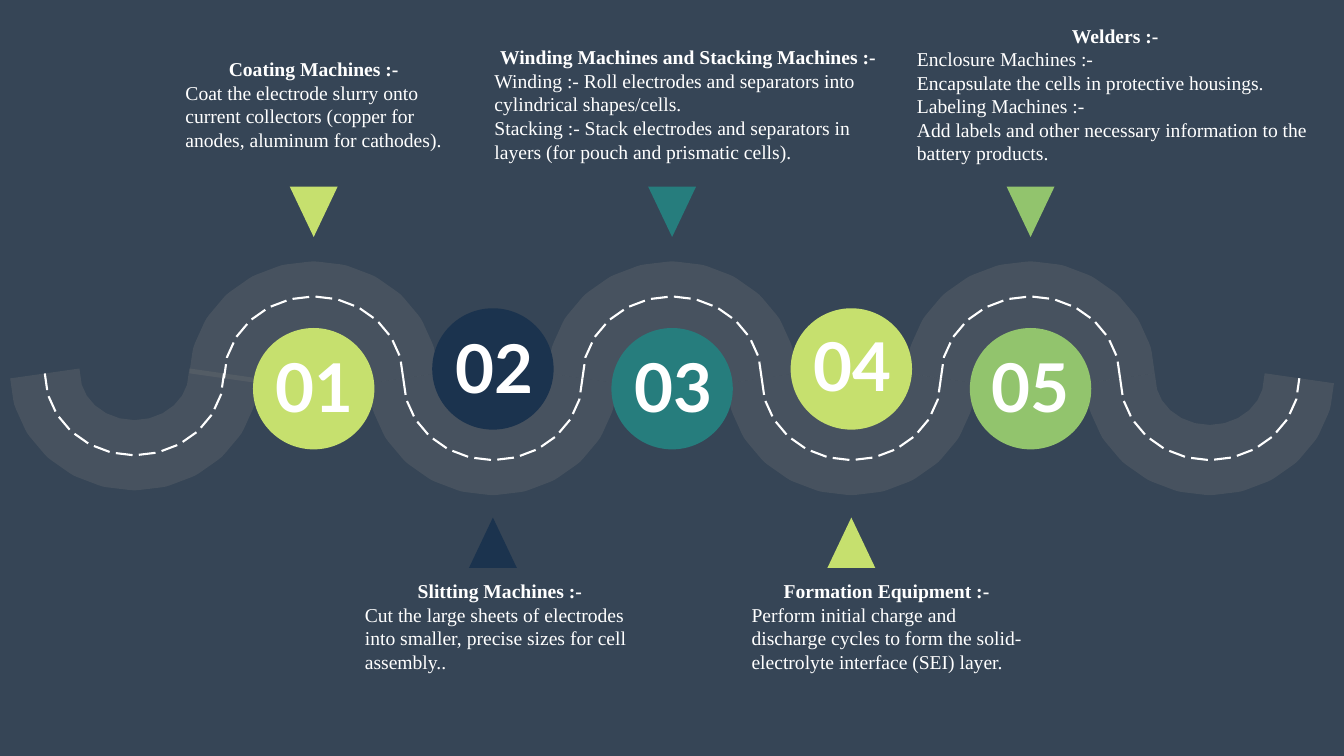
"""Build a winding-road slide of five battery production machine steps."""
from dataclasses import dataclass
from math import cos, pi, sin
from typing import Any

from lxml import etree
from pptx import Presentation
from pptx import util as u
from pptx.dml.color import RGBColor
from pptx.enum import dml, shapes, text
from pptx.oxml import ns


@dataclass(frozen=True)
class Theme:
    background: str = "364556"
    road: str = "797979"
    white: str = "FFFFFF"
    lime: str = "C6E06E"
    navy: str = "1B334E"
    teal: str = "267D7D"
    green: str = "92C46D"
    number_font: str = "Lato"
    body_font: str = "Times New Roman"
    number_size: float = 96
    body_size: float = 28
    road_width: float = 100
    dash_width: float = 3
    road_opacity: int = 25


@dataclass(frozen=True)
class Box:
    left: float
    top: float
    width: float
    height: float


@dataclass(frozen=True)
class Bend:
    left: float
    base: float
    rise: float


@dataclass(frozen=True)
class Step:
    color: str
    number_left: float
    number_top: float
    box: Box
    heading: str
    lines: tuple[str, ...]
    top_inset: float = 3.6


THEME = Theme()
SLIDE_WIDTH, SLIDE_HEIGHT = 1919.52, 1080
PITCH = 255.96
ROAD_LEFT = 64
BEND_HEIGHT = 117
BEND_SEGMENTS = 12
FIRST_CENTER = 448
CIRCLE = 173.4
POINTER_WIDTH, POINTER_HEIGHT = 68.4, 72
CIRCLE_TOPS = (468.6, 440.4)
POINTER_TOPS = (266.6, 739.4)

BENDS = [
    Bend(
        ROAD_LEFT + index * PITCH,
        533.5 if index == 0 else 540.4,
        -BEND_HEIGHT if index % 2 else BEND_HEIGHT,
    )
    for index in range(7)
]

STEPS = [
    Step(THEME.lime, 386.6, 490.3, Box(257.8, 44.6, 380.2, 211), "Coating Machines :-", (
        "Coat the electrode slurry onto current collectors (copper for anodes, aluminum for cathodes).",
    ), top_inset=37.2),
    Step(THEME.navy, 643, 463, Box(514, 823.7, 399.6, 143.3), "Slitting Machines :-", (
        "Cut the large sheets of electrodes into smaller, precise sizes for cell assembly..",
    )),
    Step(THEME.teal, 898.6, 490.3, Box(699.1, 61.2, 566.6, 177.1),
         "Winding Machines and Stacking Machines :-", (
        "Winding :- Roll electrodes and separators into cylindrical shapes/cells.",
        "Stacking :- Stack electrodes and separators in layers (for pouch and prismatic cells).",
    )),
    Step(THEME.lime, 1154.2, 460, Box(1066.3, 823.7, 399.6, 177.1), "Formation Equipment :-", (
        "Perform initial charge and discharge cycles to form the solid-electrolyte interface (SEI) layer.",
    )),
    Step(THEME.green, 1408.3, 489.6, Box(1302.5, 30.2, 580.3, 211), "Welders :-", (
        "Enclosure Machines :-",
        "Encapsulate the cells in protective housings.",
        "Labeling Machines :-",
        "Add labels and other necessary information to the battery products.",
    )),
]


def draw_bend(parent: Any, bend: Bend, color: str, width: float) -> Any:
    angles = [pi * index / BEND_SEGMENTS for index in range(BEND_SEGMENTS + 1)]
    if bend.rise < 0:
        angles.reverse()
    points = [
        (u.Pt(bend.left + PITCH * (1 - cos(angle)) / 2), u.Pt(bend.base + bend.rise * sin(angle)))
        for angle in angles
    ]
    builder = parent.build_freeform(*points[0], scale=1.0)
    builder.add_line_segments(points[1:], close=False)
    shape = builder.convert_to_shape()
    shape.shadow.inherit = False
    shape.fill.background()
    shape.line.color.rgb = RGBColor.from_string(color)
    shape.line.width = u.Pt(width)
    return shape


def draw_road(slide: Any) -> None:
    group = slide.shapes.add_group_shape()
    for bend in BENDS:
        shape = draw_bend(group.shapes, bend, THEME.road, THEME.road_width)
        for color in shape.element.spPr.iter(ns.qn("a:srgbClr")):
            alpha = etree.SubElement(color, ns.qn("a:alpha"))
            alpha.set("val", str(THEME.road_opacity * 1000))
    for bend in BENDS:
        shape = draw_bend(slide.shapes, bend, THEME.white, THEME.dash_width)
        shape.line.dash_style = dml.MSO_LINE.LONG_DASH


def draw_solid(slide: Any, kind: shapes.MSO_SHAPE, box: Box, color: str) -> Any:
    shape = slide.shapes.add_shape(
        kind, u.Pt(box.left), u.Pt(box.top), u.Pt(box.width), u.Pt(box.height)
    )
    shape.shadow.inherit = False
    shape.fill.solid()
    shape.fill.fore_color.rgb = RGBColor.from_string(color)
    shape.line.fill.background()
    return shape


def draw_text(
    slide: Any, box: Box, content: str, font: str, size: float, wrap: bool = True
) -> Any:
    shape = slide.shapes.add_textbox(
        u.Pt(box.left), u.Pt(box.top), u.Pt(box.width), u.Pt(box.height)
    )
    frame = shape.text_frame
    frame.word_wrap = wrap
    frame.auto_size = text.MSO_AUTO_SIZE.SHAPE_TO_FIT_TEXT
    frame.text = content
    for paragraph in frame.paragraphs:
        for run in paragraph.runs:
            run.font.name = font
            run.font.size = u.Pt(size)
            run.font.color.rgb = RGBColor.from_string(THEME.white)
    frame.paragraphs[0].runs[0].font.bold = True
    return frame


def draw_marker(slide: Any, index: int, step: Step) -> None:
    center = FIRST_CENTER + index * PITCH
    below = index % 2
    circle = Box(center - CIRCLE / 2, CIRCLE_TOPS[below], CIRCLE, CIRCLE)
    draw_solid(slide, shapes.MSO_SHAPE.OVAL, circle, step.color)
    pointer_box = Box(
        center - POINTER_WIDTH / 2, POINTER_TOPS[below], POINTER_WIDTH, POINTER_HEIGHT
    )
    pointer = draw_solid(slide, shapes.MSO_SHAPE.ISOSCELES_TRIANGLE, pointer_box, step.color)
    pointer.rotation = 0 if below else 180


def draw_step(slide: Any, index: int, step: Step) -> None:
    draw_marker(slide, index, step)
    number_box = Box(step.number_left, step.number_top, 126.7, 123.8)
    draw_text(
        slide, number_box, f"{index + 1:02}", THEME.number_font, THEME.number_size, wrap=False
    )
    content = "\n".join((step.heading, *step.lines))
    frame = draw_text(slide, step.box, content, THEME.body_font, THEME.body_size)
    frame.margin_top = u.Pt(step.top_inset)
    frame.paragraphs[0].alignment = text.PP_ALIGN.CENTER


def main() -> None:
    presentation = Presentation()
    presentation.slide_width = u.Pt(SLIDE_WIDTH)
    presentation.slide_height = u.Pt(SLIDE_HEIGHT)
    slide = presentation.slides.add_slide(presentation.slide_layouts[6])
    slide.background.fill.solid()
    slide.background.fill.fore_color.rgb = RGBColor.from_string(THEME.background)
    draw_road(slide)
    for index, step in enumerate(STEPS):
        draw_step(slide, index, step)
    presentation.save("out.pptx")


if __name__ == "__main__":
    main()
